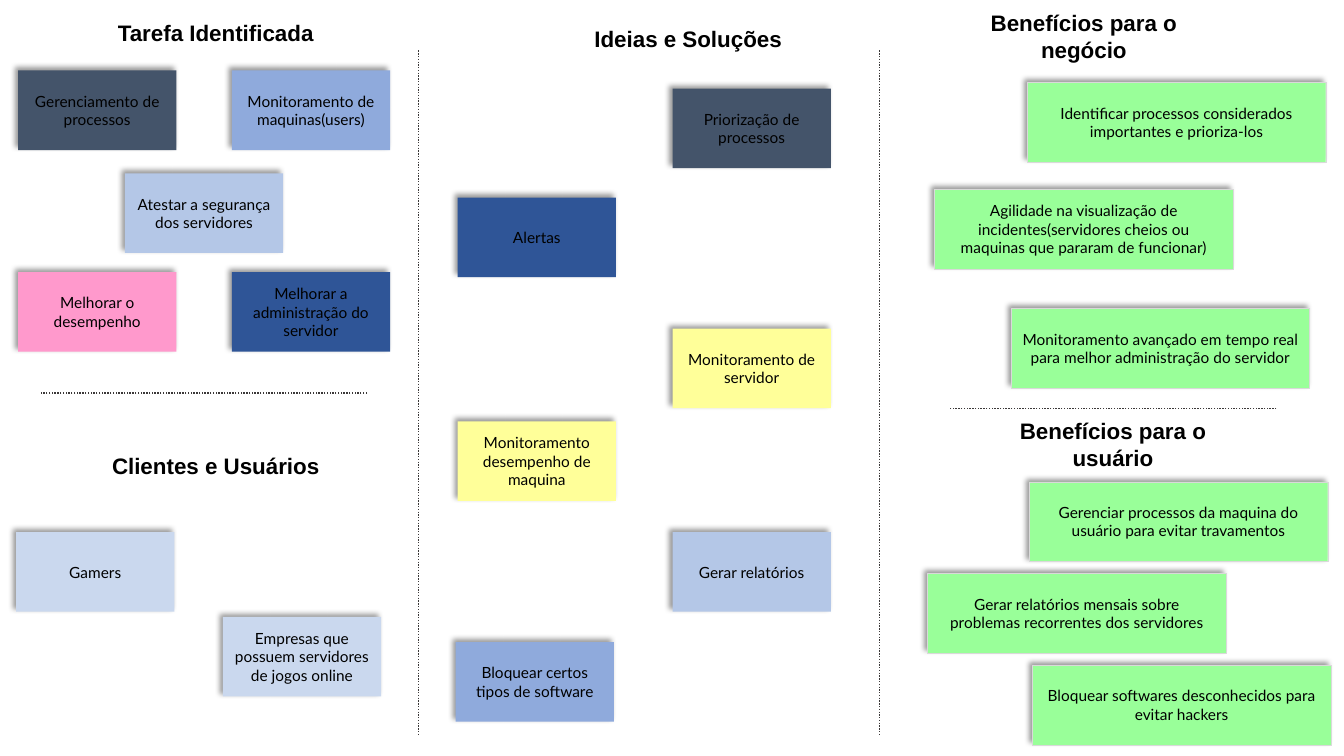
from lxml.etree import SubElement
from pptx import Presentation
from pptx.dml.color import RGBColor
from pptx.enum.dml import MSO_LINE
from pptx.enum.shapes import MSO_CONNECTOR, MSO_SHAPE
from pptx.enum.text import MSO_ANCHOR, MSO_AUTO_SIZE, PP_ALIGN
from pptx.oxml.ns import qn
from pptx.util import Inches, Pt

WIDE, HIGH = Inches(13.33), Inches(7.5)
COLORS = {
    "slate": "44546A", "navy": "2F5597", "blue": "8FAADC", "sky": "B4C7E7",
    "pale": "CAD8EE", "pink": "FF99CC", "yellow": "FFFF99", "green": "99FF99",
    "black": "000000", "rule": "3B3838", "edge": "D9D9D9",
}
SMALL, LARGE, TALL = 11.78, 22.2, 10.53

TASKS = [
    (1.35, 9.33, "slate", "Gerenciamento de processos"),
    (17.25, 9.33, "blue", "Monitoramento de maquinas(users)"),
    (9.3, 22.93, "sky", "Atestar a segurança dos servidores"),
    (1.35, 36, "pink", "Melhorar o desempenho"),
    (17.25, 36, "navy", "Melhorar a administração do servidor"),
]
CLIENTS = [
    (1.2, 70.4, "pale", "Gamers"),
    (16.58, 81.6, "pale", "Empresas que possuem servidores de jogos online"),
]
IDEAS = [
    (50.04, 11.73, "slate", "Priorização de processos"),
    (34.06, 26.13, "navy", "Alertas"),
    (50.04, 43.47, "yellow", "Monitoramento de servidor"),
    (34.06, 55.73, "yellow", "Monitoramento desempenho de maquina"),
    (50.04, 70.4, "sky", "Gerar relatórios"),
    (33.91, 84.93, "blue", "Bloquear certos tipos de software"),
]
GAINS = [
    (76.44, 10.93, "Identificar processos considerados importantes e prioriza-los"),
    (69.54, 25.07, "Agilidade na visualização de incidentes(servidores cheios ou "
                   "maquinas que pararam de funcionar)"),
    (75.24, 40.8, "Monitoramento avançado em tempo real para melhor "
                  "administração do servidor"),
    (76.59, 63.73, "Gerenciar processos da maquina do usuário para evitar travamentos"),
    (69.02, 75.87, "Gerar relatórios mensais sobre problemas recorrentes dos servidores"),
    (76.82, 88, "Bloquear softwares desconhecidos para evitar hackers"),
]
HEADS = [
    (7.8, 1.87, 16.5, 4.93, "Tarefa Identificada"),
    (7.35, 59.2, 17.4, 4.93, "Clientes e Usuários"),
    (43.29, 2.67, 15.83, 4.93, "Ideias e Soluções"),
    (71.27, 0.53, 18.75, 8.53, "Benefícios para o negócio"),
    (73.44, 54.53, 18.75, 8.53, "Benefícios para o usuário"),
]
RULES = [
    (31.13, 6.67, 31.13, 97.07),
    (65.42, 6.67, 65.42, 97.07),
    (27.31, 52, 3.08, 52),
    (94.97, 54, 70.67, 54),
]


def tint(name):
    return RGBColor.from_string(COLORS[name])


def place(left, top, right, low):
    return [round(share * size / 100) for share, size in
            zip((left, top, right, low), (WIDE, HIGH, WIDE, HIGH))]


def write(shape, text, face, size, bold=False):
    frame = shape.text_frame
    frame.word_wrap = True
    frame.text = text
    line = frame.paragraphs[0]
    line.alignment = PP_ALIGN.CENTER
    font = line.runs[0].font
    font.name, font.size, font.bold = face, Pt(size), bold
    font.color.rgb = tint("black")


def shade(shape):
    shape.shadow.inherit = False
    effects = shape.element.spPr.find(qn("a:effectLst"))
    outer = SubElement(effects, qn("a:outerShdw"), blurRad=str(Pt(4)),
                       dist=str(Pt(3)), dir="13500000", algn="br", rotWithShape="0")
    color = SubElement(outer, qn("a:srgbClr"), val=COLORS["black"])
    SubElement(color, qn("a:alpha"), val="40000")


def add_note(slide, left, top, fill, text, width=SMALL, edge=None):
    note = slide.shapes.add_shape(MSO_SHAPE.RECTANGLE, *place(left, top, width, TALL))
    note.fill.solid()
    note.fill.fore_color.rgb = tint(fill)
    if edge:
        note.line.color.rgb = tint(edge)
        note.line.width = Pt(0.25)
    else:
        note.line.fill.background()
    shade(note)
    note.text_frame.vertical_anchor = MSO_ANCHOR.MIDDLE
    write(note, text, "Lato", 11)


def add_head(slide, left, top, width, height, text):
    head = slide.shapes.add_textbox(*place(left, top, width, height))
    write(head, text, "Arial", 16, True)
    head.text_frame.auto_size = MSO_AUTO_SIZE.SHAPE_TO_FIT_TEXT


def add_rule(slide, *ends):
    rule = slide.shapes.add_connector(MSO_CONNECTOR.STRAIGHT, *place(*ends))
    rule.line.color.rgb = tint("rule")
    rule.line.width = Pt(1)
    rule.line.dash_style = MSO_LINE.ROUND_DOT
    SubElement(rule.element.spPr, qn("a:effectLst"))


def main():
    deck = Presentation()
    deck.slide_width, deck.slide_height = WIDE, HIGH
    slide = deck.slides.add_slide(deck.slide_layouts[6])
    for rule in RULES:
        add_rule(slide, *rule)
    for head in HEADS:
        add_head(slide, *head)
    for note in TASKS + CLIENTS + IDEAS:
        add_note(slide, *note)
    for left, top, text in GAINS:
        add_note(slide, left, top, "green", text, LARGE, "edge")
    deck.save("out.pptx")


if __name__ == "__main__":
    main()
